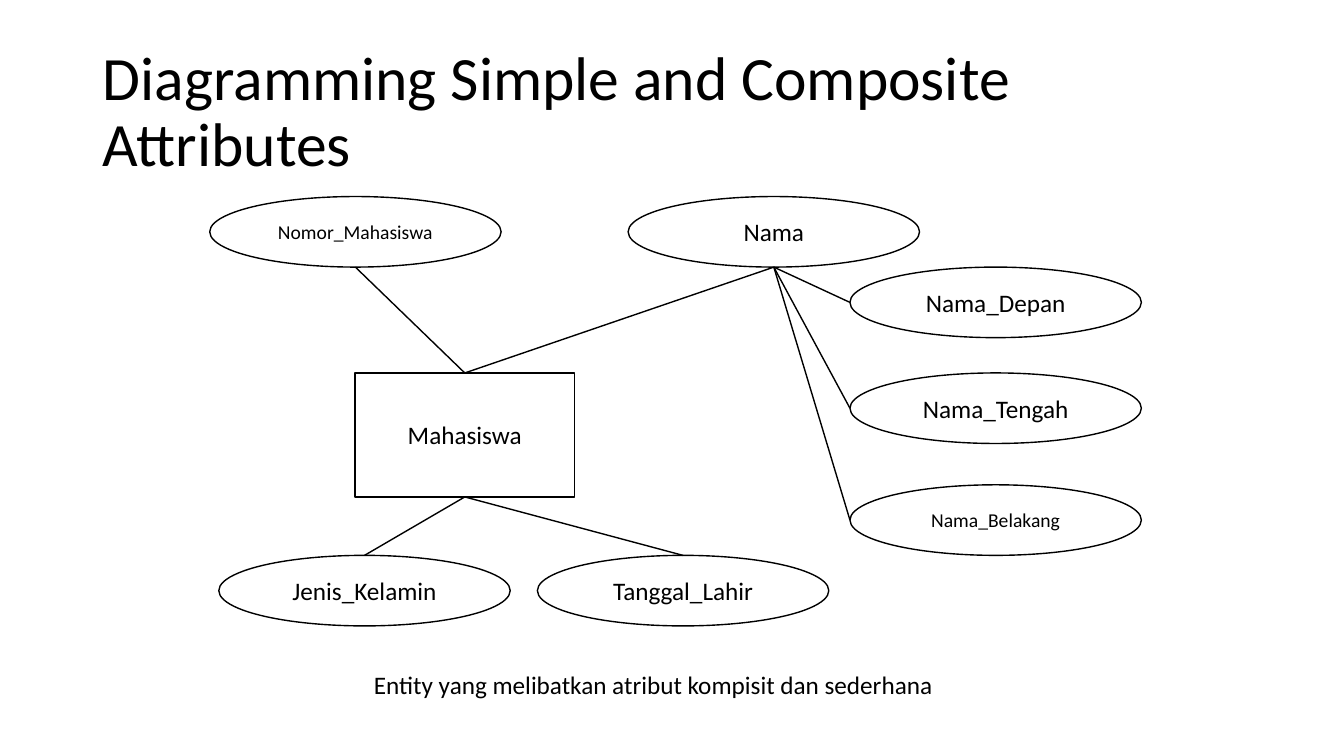
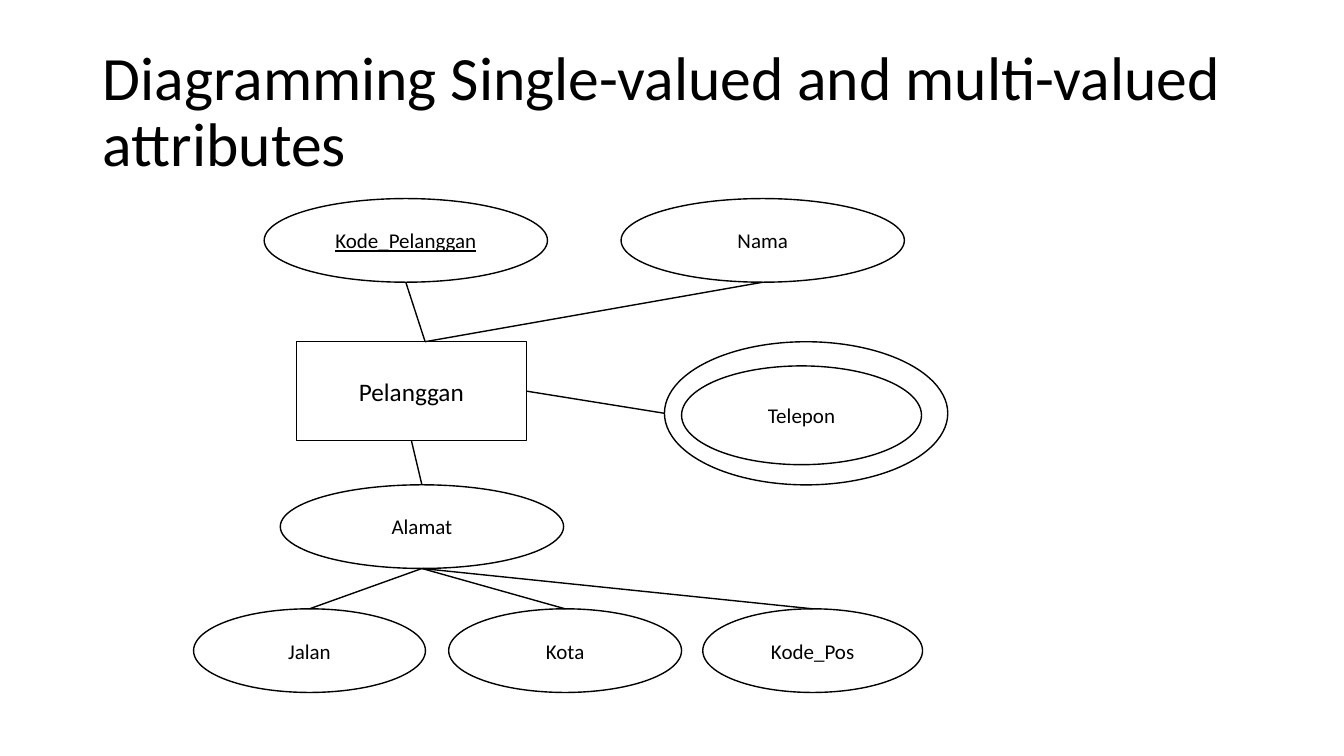
from dataclasses import dataclass

from pptx import Presentation
from pptx.dml.color import RGBColor
from pptx.enum.shapes import MSO_CONNECTOR as CONN, MSO_SHAPE as SHAPE
from pptx.enum.text import MSO_ANCHOR as ANCHOR, MSO_AUTO_SIZE as FIT, PP_ALIGN as ALIGN
from pptx.oxml.ns import qn
from pptx.util import Inches, Pt


@dataclass(frozen=True)
class Theme:
    font: str = "Calibri"
    ink: RGBColor = RGBColor(0x00, 0x00, 0x00)
    paper: RGBColor = RGBColor(0xFF, 0xFF, 0xFF)
    line: float = 1
    title: float = 44
    body: float = 18
    label: float = 15
    small: float = 14


THEME = Theme()

# Points on a shape's frame, as fractions of its width and height
TOP, BOTTOM, LEFT, RIGHT = (0.5, 0), (0.5, 1), (0, 0.5), (1, 0.5)


# Text and slide helpers
def add_run(p, text, size, underline=False):
    r = p.add_run()
    r.text = text
    r.font.name = THEME.font
    r.font.size = Pt(size)
    r.font.color.rgb = THEME.ink
    if underline:
        r.font.underline = True


def add_slide(prs, title):
    s = prs.slides.add_slide(prs.slide_layouts[5])
    sp = s.shapes.title
    sp.left, sp.top, sp.width, sp.height = map(Inches, (0.92, 0.4, 11.5, 1.45))
    tf = sp.text_frame
    tf.auto_size = FIT.NONE
    tf.vertical_anchor = ANCHOR.MIDDLE
    p = tf.paragraphs[0]
    p.alignment = ALIGN.LEFT
    p.line_spacing = 0.9
    add_run(p, title, THEME.title)
    return s


def add_caption(s, text, left, top, width, height):
    sp = s.shapes.add_textbox(*map(Inches, (left, top, width, height)))
    tf = sp.text_frame
    tf.word_wrap = True
    add_run(tf.paragraphs[0], text, THEME.body)


# Diagram elements
def add_node(s, kind, text, box, size, underline=False):
    sp = s.shapes.add_shape(kind, *map(Inches, box))
    sp.shadow.inherit = False
    sp.fill.solid()
    sp.fill.fore_color.rgb = THEME.paper
    sp.line.color.rgb = THEME.ink
    sp.line.width = Pt(THEME.line)
    if text:
        tf = sp.text_frame
        tf.vertical_anchor = ANCHOR.MIDDLE
        p = tf.paragraphs[0]
        p.alignment = ALIGN.CENTER
        add_run(p, text, size, underline)
    return sp


def add_entity(s, text, *box):
    return add_node(s, SHAPE.RECTANGLE, text, box, THEME.body)


def add_attribute(s, text, *box, size=THEME.label, key=False):
    return add_node(s, SHAPE.OVAL, text, box, size, key)


def point_on(sp, spot):
    return int(sp.left + sp.width * spot[0]), int(sp.top + sp.height * spot[1])


def link(s, start, start_spot, end, end_spot):
    cn = s.shapes.add_connector(
        CONN.STRAIGHT, *point_on(start, start_spot), *point_on(end, end_spot))
    cn.line.color.rgb = THEME.ink
    cn.line.width = Pt(THEME.line)
    sp_pr = cn._element.spPr
    sp_pr.append(sp_pr.makeelement(qn("a:effectLst"), {}))


# Slides
def composite_slide(prs):
    s = add_slide(prs, "Diagramming Simple and Composite Attributes")
    student = add_entity(s, "Mahasiswa", 3.52, 3.7, 2.18, 1.23)

    def attribute(text, left, top, size=THEME.body):
        return add_attribute(s, text, left, top, 2.89, 0.7, size=size)

    name = attribute("Nama", 6.23, 1.95)
    number = attribute("Nomor_Mahasiswa", 2.08, 1.95, THEME.small)
    gender = attribute("Jenis_Kelamin", 2.17, 5.51)
    birth = attribute("Tanggal_Lahir", 5.33, 5.51)
    name_parts = [
        attribute("Nama_Depan", 8.43, 2.65),
        attribute("Nama_Tengah", 8.43, 3.7),
        attribute("Nama_Belakang", 8.43, 4.81, THEME.small),
    ]

    for upper in (number, name):
        link(s, student, TOP, upper, BOTTOM)
    for lower in (gender, birth):
        link(s, student, BOTTOM, lower, TOP)
    for part in name_parts:
        link(s, name, BOTTOM, part, LEFT)

    add_caption(s, "Entity yang melibatkan atribut kompisit dan sederhana",
                3.61, 6.59, 6.75, 0.4)


def multivalued_slide(prs):
    s = add_slide(prs, "Diagramming Single-valued and multi-valued attributes")
    customer = add_entity(s, "Pelanggan", 2.94, 3.39, 2.28, 0.98)
    code = add_attribute(s, "Kode_Pelanggan", 2.62, 1.97, 2.81, 0.83, key=True)
    name = add_attribute(s, "Nama", 6.16, 1.97, 2.81, 0.83)
    address = add_attribute(s, "Alamat", 2.78, 4.81, 2.81, 0.83)

    # A double outline marks the multi-valued attribute
    phone_ring = add_attribute(s, "", 6.59, 3.39, 2.81, 1.42)
    add_attribute(s, "Telepon", 6.76, 3.63, 2.38, 0.98)

    address_parts = [
        add_attribute(s, text, left, 6.04, width, 0.83)
        for text, left, width in (
            ("Jalan", 1.92, 2.3), ("Kota", 4.45, 2.31), ("Kode_Pos", 6.97, 2.18))
    ]

    for upper in (code, name):
        link(s, customer, (0.56, 0), upper, BOTTOM)
    link(s, customer, RIGHT, phone_ring, LEFT)
    link(s, customer, BOTTOM, address, TOP)
    for part in address_parts:
        link(s, address, BOTTOM, part, TOP)


def main():
    prs = Presentation()
    prs.slide_width, prs.slide_height = Inches(13.33), Inches(7.5)
    composite_slide(prs)
    multivalued_slide(prs)
    prs.save("out.pptx")


if __name__ == "__main__":
    main()
